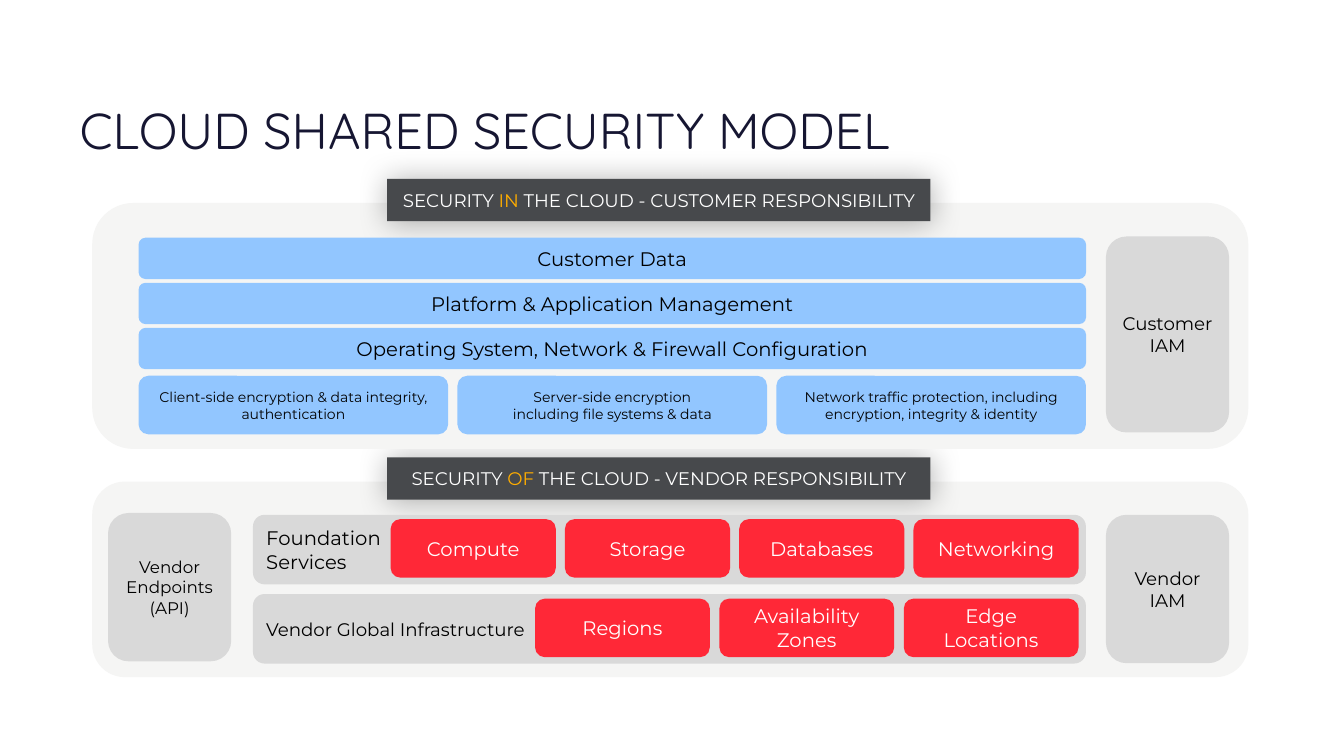
"""Build the cloud shared security model slide."""
from dataclasses import dataclass

from lxml.etree import SubElement
from pptx import Presentation
from pptx.dml.color import RGBColor
from pptx.enum.shapes import MSO_SHAPE
from pptx.enum.text import MSO_ANCHOR, PP_ALIGN
from pptx.oxml.ns import qn
from pptx.util import Pt


@dataclass(frozen=True)
class Theme:
    """Colours, fonts and type sizes of the slide."""

    navy: str = "161632"
    black: str = "000000"
    white: str = "FFFFFF"
    amber: str = "FFAD00"
    charcoal: str = "47494C"
    pale: str = "F5F5F4"
    grey: str = "D9D9D9"
    blue: str = "92C6FF"
    red: str = "FF2837"
    heading_font: str = "Quicksand"
    body_font: str = "Montserrat"
    title_size: float = 36
    block_size: float = 14
    label_size: float = 13
    endpoint_size: float = 12
    detail_size: float = 10


THEME = Theme()


def add_run(paragraph, text, size, color, font=THEME.body_font):
    """Append one formatted run to a paragraph."""
    run = paragraph.add_run()
    run.text = text
    run.font.name = font
    run.font.size = Pt(size)
    run.font.color.rgb = RGBColor.from_string(color)


def add_shape(slide, preset, box, fill):
    """Add a flat, borderless shape and return it."""
    shape = slide.shapes.add_shape(preset, *map(Pt, box))
    shape.shadow.inherit = False
    shape.fill.solid()
    shape.fill.fore_color.rgb = RGBColor.from_string(fill)
    shape.line.fill.background()
    return shape


def fill_text(shape, lines, size, align=PP_ALIGN.CENTER):
    """Write lines of (text, colour) runs into the middle of a shape."""
    frame = shape.text_frame
    frame.word_wrap = True
    frame.vertical_anchor = MSO_ANCHOR.MIDDLE
    frame.margin_left = frame.margin_right = Pt(7.2)
    frame.margin_top = frame.margin_bottom = Pt(7.2)
    for index, runs in enumerate(lines):
        paragraph = frame.add_paragraph() if index else frame.paragraphs[0]
        paragraph.alignment = align
        for text, color in runs:
            add_run(paragraph, text, size, color)


def add_block(slide, box, fill, text, size, color=THEME.black, align=PP_ALIGN.CENTER):
    """Add a rounded block with one paragraph per line of text."""
    shape = add_shape(slide, MSO_SHAPE.ROUNDED_RECTANGLE, box, fill)
    lines = [[(line, color)] for line in text.split("\n")]
    fill_text(shape, lines, size, align)


def add_row(slide, box, gap, fill, labels, size, color):
    """Add equal blocks from left to right, starting at the given box."""
    left, top, width, height = box
    for index, label in enumerate(labels):
        cell = (left + index * (width + gap), top, width, height)
        add_block(slide, cell, fill, label, size, color)


def add_shadow(shape):
    """Give a shape a soft shadow below it."""
    effects = shape._element.spPr.find(qn("a:effectLst"))
    shadow = SubElement(effects, qn("a:outerShdw"), blurRad=str(Pt(21.4)),
                        dist=str(Pt(0.8)), dir="5400000", algn="t", rotWithShape="0")
    color = SubElement(shadow, qn("a:srgbClr"), val=THEME.black)
    SubElement(color, qn("a:alpha"), val="31000")


def add_section(slide, top, height, preposition, owner):
    """Add a section panel with its banner straddling the top edge."""
    add_shape(slide, MSO_SHAPE.ROUNDED_RECTANGLE, (65.9, top, 825.8, height), THEME.pale)
    banner = add_shape(slide, MSO_SHAPE.RECTANGLE, (276.5, top - 17.3, 388.1, 30.2),
                       THEME.charcoal)
    add_shadow(banner)
    runs = [("SECURITY ", THEME.white), (preposition, THEME.amber),
            (f" THE CLOUD - {owner} RESPONSIBILITY", THEME.white)]
    fill_text(banner, [runs], THEME.label_size)


def add_title(slide, text):
    """Add the slide title."""
    box = slide.shapes.add_textbox(Pt(56.9), Pt(70.6), Pt(850.3), Pt(56.9))
    frame = box.text_frame
    frame.word_wrap = True
    frame.margin_left = frame.margin_right = frame.margin_top = frame.margin_bottom = 0
    add_run(frame.paragraphs[0], text, THEME.title_size, THEME.navy, THEME.heading_font)


def add_customer_blocks(slide):
    """Add the customer's layers, protections and access block."""
    layers = ["Customer Data", "Platform & Application Management",
              "Operating System, Network & Firewall Configuration"]
    for index, layer in enumerate(layers):
        add_block(slide, (99, 169.8 + 32.2 * index, 676.8, 29.5), THEME.blue,
                  layer, THEME.block_size)
    protections = ["Client-side encryption & data integrity, authentication",
                   "Server-side encryption\nincluding file systems & data",
                   "Network traffic protection, including encryption, integrity & identity"]
    add_row(slide, (99, 268.4, 221.1, 41.8), 6.7, THEME.blue, protections,
            THEME.detail_size, THEME.black)
    add_block(slide, (790, 168.9, 88, 140), THEME.grey, "Customer IAM", THEME.label_size)


def add_vendor_blocks(slide):
    """Add the vendor's services, infrastructure and access blocks."""
    add_block(slide, (77.2, 366.4, 88, 106), THEME.grey, "Vendor Endpoints (API)",
              THEME.endpoint_size)
    add_block(slide, (790, 367.7, 88, 106), THEME.grey, "Vendor IAM", THEME.label_size)
    add_block(slide, (180.7, 367.7, 595, 49.7), THEME.grey, "Foundation\nServices",
              THEME.block_size, align=PP_ALIGN.LEFT)
    add_row(slide, (279, 370.8, 118, 41.8), 6.5, THEME.red,
            ["Compute", "Storage", "Databases", "Networking"],
            THEME.block_size, THEME.white)
    add_block(slide, (180.7, 424.3, 595, 49.7), THEME.grey,
              "Vendor Global Infrastructure", THEME.label_size, align=PP_ALIGN.LEFT)
    add_row(slide, (382.2, 427.6, 124.8, 41.8), 6.9, THEME.red,
            ["Regions", "Availability Zones", "Edge Locations"],
            THEME.block_size, THEME.white)


def main():
    """Build and save the presentation."""
    presentation = Presentation()
    presentation.slide_width = Pt(960)
    presentation.slide_height = Pt(540)
    slide = presentation.slides.add_slide(presentation.slide_layouts[6])
    add_title(slide, "CLOUD SHARED SECURITY MODEL")
    add_section(slide, 344, 139.7, "OF", "VENDOR")
    add_section(slide, 145, 175.7, "IN", "CUSTOMER")
    add_customer_blocks(slide)
    add_vendor_blocks(slide)
    presentation.save("out.pptx")


if __name__ == "__main__":
    main()
